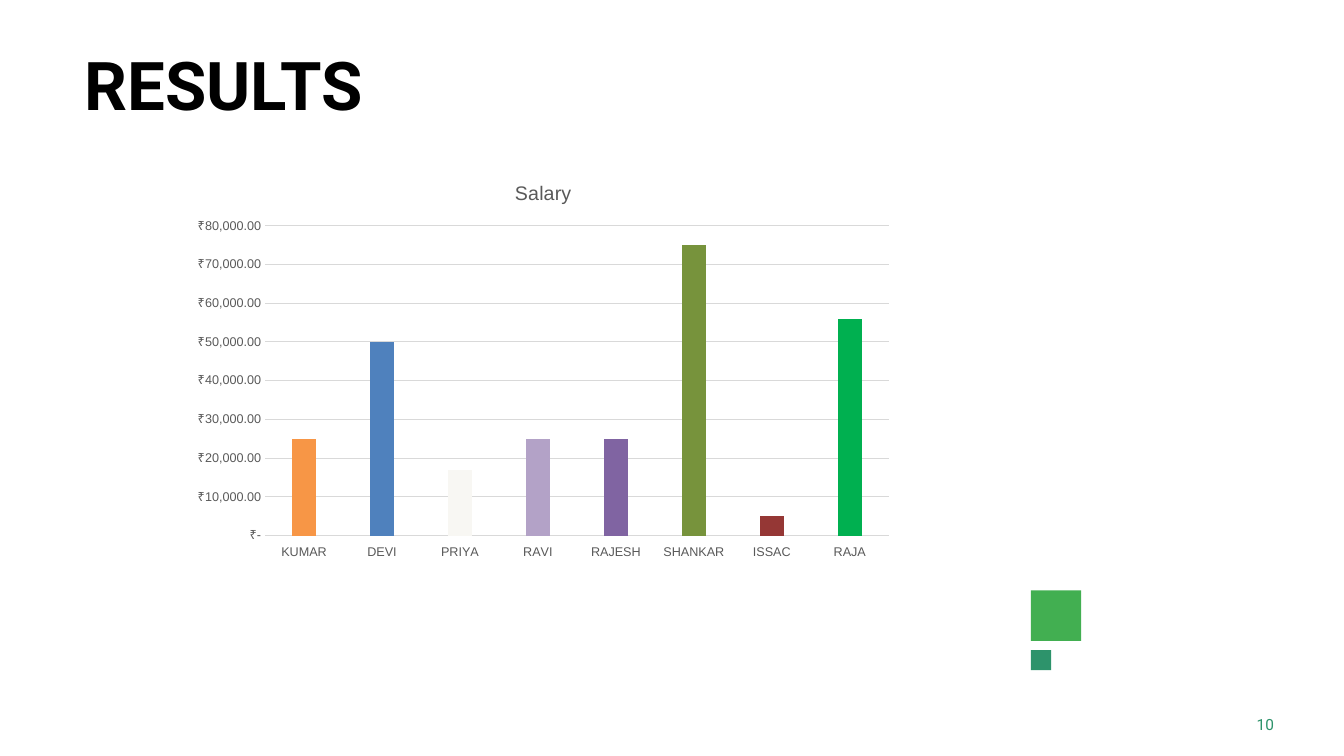
from pptx import Presentation
from pptx.chart.data import CategoryChartData
from pptx.dml.color import RGBColor
from pptx.enum import chart as ec, shapes, text
from pptx.util import Cm, Pt

HUES = {
    "black": "000000", "grey": "595959", "rule": "D9D9D9",
    "green": "42AF51", "teal": "2D936B", "blue": "4F81BD",
}
PAY = [
    ("KUMAR", 25000, "F79646"),
    ("DEVI", 50000, HUES["blue"]),
    ("PRIYA", 17000, "F8F7F3"),
    ("RAVI", 25000, "B3A2C7"),
    ("RAJESH", 25000, "8064A2"),
    ("SHANKAR", 75000, "77933C"),
    ("ISSAC", 5000, "953735"),
    ("RAJA", 56000, "00B050"),
]


def style(font, name, size, hue, bold=False):
    font.name, font.size, font.bold = name, Pt(size), bold
    font.color.rgb = RGBColor.from_string(HUES[hue])


def write(box, words, size, hue, bold=False):
    frame = box.text_frame
    frame.word_wrap = False
    frame.auto_size = text.MSO_AUTO_SIZE.NONE
    frame.vertical_anchor = text.MSO_ANCHOR.TOP
    frame.margin_left = frame.margin_right = frame.margin_bottom = 0
    frame.margin_top = Cm(0.03)
    para = frame.paragraphs[0]
    para.alignment = text.PP_ALIGN.LEFT
    para.line_spacing = 1.0
    para.space_before = Pt(0)
    run = para.add_run()
    run.text = words
    style(run.font, "Roboto", size, hue, bold)


deck = Presentation()
deck.slide_width, deck.slide_height = Cm(33.87), Cm(19.05)
slide = deck.slides.add_slide(deck.slide_layouts[5])

for top, side, hue in [(14.88, 1.27, "green"), (16.38, 0.51, "teal")]:
    square = slide.shapes.add_shape(
        shapes.MSO_SHAPE.RECTANGLE, Cm(25.98), Cm(top), Cm(side), Cm(side))
    square.shadow.inherit = False
    square.fill.solid()
    square.fill.fore_color.rgb = RGBColor.from_string(HUES[hue])
    square.line.fill.background()

title = slide.shapes.title
title.left, title.top = Cm(2.13), Cm(1.07)
title.width, title.height = Cm(7.82), Cm(2.11)
write(title, "RESULTS", 48, "black", True)

number = slide.shapes.add_textbox(Cm(31.42), Cm(17.98), Cm(0.64), Cm(0.56))
write(number, "10", 11, "teal")
number.text_frame.margin_left = Cm(0.25)

data = CategoryChartData()
data.categories = [name for name, _, _ in PAY]
data.add_series("Salary", [wage for _, wage, _ in PAY])
chart = slide.shapes.add_chart(
    ec.XL_CHART_TYPE.COLUMN_CLUSTERED,
    Cm(4.62), Cm(4.11), Cm(18.14), Cm(10.21), data).chart
chart.has_legend = False
style(chart.font, "Arial", 10, "black")
chart.has_title = True
head = chart.chart_title.text_frame.paragraphs[0].add_run()
head.text = "Salary"
style(head.font, "Arial", 14, "grey")
chart.chart_title.include_in_layout = False

plot = chart.plots[0]
plot.gap_width, plot.overlap = 219, -27
plot.vary_by_categories = False
bars = plot.series[0]
for i, (_, _, hue) in enumerate(PAY):
    fill = bars.points[i].format.fill
    fill.solid()
    fill.fore_color.rgb = RGBColor.from_string(hue)

names, wages = chart.category_axis, chart.value_axis
for axis in (names, wages):
    style(axis.tick_labels.font, "Arial", 9, "grey")
    axis.major_tick_mark = axis.minor_tick_mark = ec.XL_TICK_MARK.NONE
names.tick_label_position = ec.XL_TICK_LABEL_POSITION.LOW
wages.minimum_scale, wages.maximum_scale, wages.major_unit = 0, 80000, 10000
wages.tick_labels.number_format = '"₹"#,##0.00;"₹"(#,##0.00);"₹-"'
wages.tick_labels.number_format_is_linked = False
wages.format.line.fill.background()
wages.has_major_gridlines = True
for line in (names.format.line, wages.major_gridlines.format.line):
    line.width = Pt(0.75)
    line.color.rgb = RGBColor.from_string(HUES["rule"])

deck.save("out.pptx")
